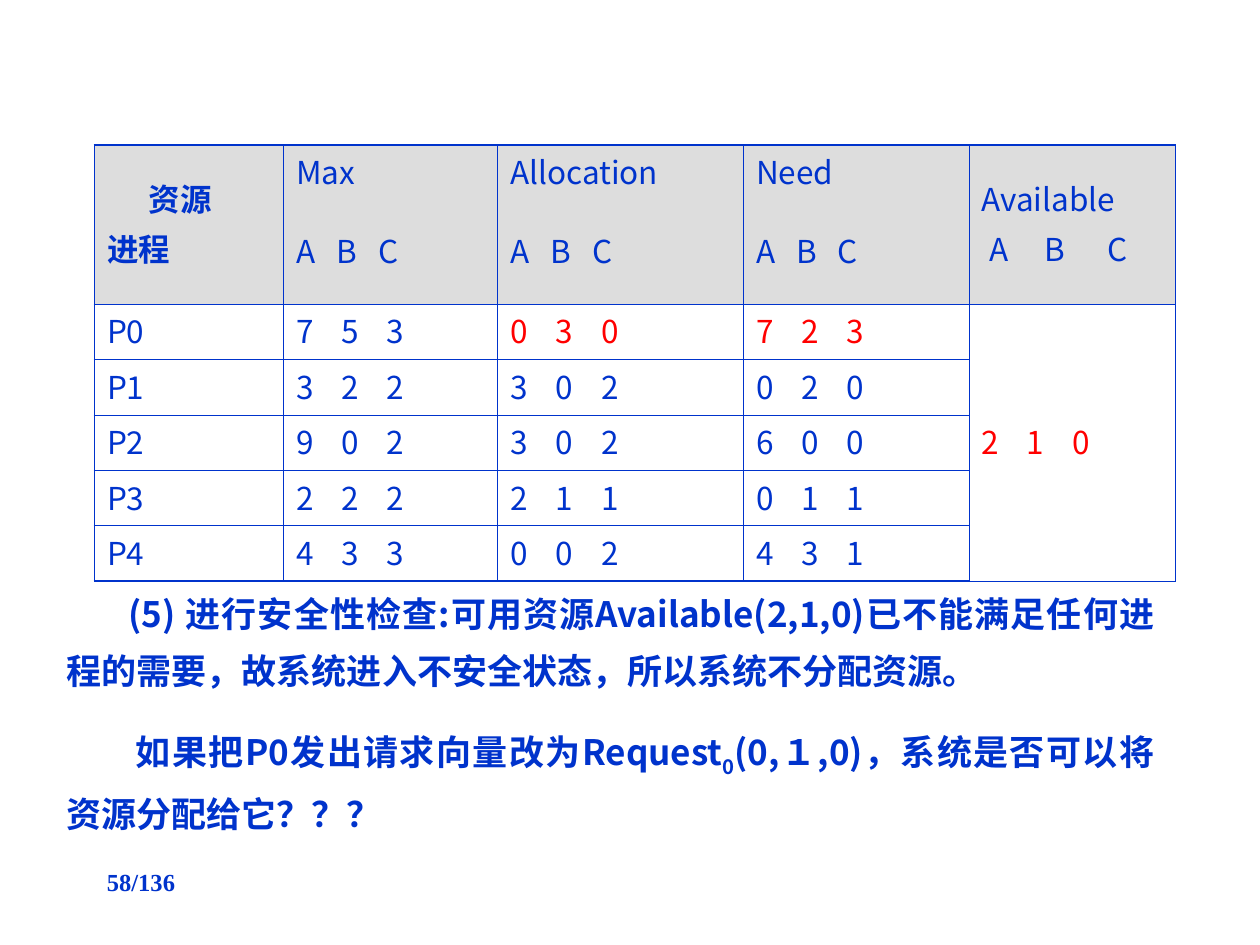
from dataclasses import dataclass

from lxml.etree import SubElement
from pptx import Presentation
from pptx.dml.color import RGBColor
from pptx.enum.text import MSO_ANCHOR, PP_ALIGN
from pptx.oxml.ns import qn
from pptx.util import Inches, Pt


@dataclass(frozen=True)
class Theme:
    blue: str = "0033CC"
    red: str = "FF0000"
    header_fill: str = "DDDDDD"
    font: str = "Noto Sans CJK SC"
    page_font: str = "Times New Roman"
    table_size: int = 18
    body_size: int = 20
    page_size: int = 14
    thin: float = 0.45
    thick: float = 1.08


THEME = Theme()
COLUMN_WIDTHS = [1.5, 1.7, 1.95, 1.79, 1.64]
ROW_HEIGHTS = [0.33, 0.73] + [0.44] * 5
LETTERS = "A\tB\tC"
LETTER_TABS = [0.32, 0.65]
NUMBER_TABS = [0.36, 0.72]
HEADINGS = ["Max", "Allocation", "Need"]
PROCESSES = [
    ["P0", "753", "030", "723"],
    ["P1", "322", "302", "020"],
    ["P2", "902", "302", "600"],
    ["P3", "222", "211", "011"],
    ["P4", "433", "002", "431"],
]
AVAILABLE = "210"
SAFETY_CHECK = ("(5) 进行安全性检查:可用资源Available(2,1,0)已不能满足任何"
                "进程的需要，故系统进入不安全状态，所以系统不分配资源。")
QUESTION = ["如果把P0发出请求向量改为Request", "0",
            "(0,１,0)，系统是否可以将资源分配给它？？？"]


def style_run(run, size, color=THEME.blue, bold=False, font=THEME.font):
    run.font.size = Pt(size)
    run.font.bold = bold
    run.font.name = font
    run.font.color.rgb = RGBColor.from_string(color)
    SubElement(run.font._element, qn("a:ea"), typeface=font)


def set_indent(paragraph, inches):
    properties = paragraph._p.get_or_add_pPr()
    properties.set("marL", "0")
    properties.set("indent", str(Inches(inches)))


def set_tabs(paragraph, positions):
    tab_list = SubElement(paragraph._p.get_or_add_pPr(), qn("a:tabLst"))
    for position in positions:
        SubElement(tab_list, qn("a:tab"), pos=str(Inches(position)), algn="l")


def add_text_box(slide, left, top, width, height):
    text_frame = slide.shapes.add_textbox(
        Inches(left), Inches(top), Inches(width), Inches(height)).text_frame
    text_frame.word_wrap = True
    return text_frame


def fill_cell(cell, lines, color=THEME.blue, bold=False, tabs=(), indents=()):
    cell.vertical_anchor = MSO_ANCHOR.MIDDLE
    cell.text_frame.text = "\n".join(lines)
    for index, paragraph in enumerate(cell.text_frame.paragraphs):
        paragraph.line_spacing = Pt(24)
        if index:
            paragraph.space_before = Pt(4.5)
        if indents:
            set_indent(paragraph, indents[index])
        if tabs:
            set_tabs(paragraph, tabs)
        for run in paragraph.runs:
            style_run(run, THEME.table_size, color, bold)


def fill_numbers(cell, digits, color):
    fill_cell(cell, ["\t".join(digits)], color, tabs=NUMBER_TABS)


def set_border(properties, side, width):
    line = SubElement(properties, qn(f"a:{side}"), w=str(Pt(width)))
    if width:
        fill = SubElement(line, qn("a:solidFill"))
        SubElement(fill, qn("a:srgbClr"), val=THEME.blue)
    else:
        SubElement(line, qn("a:noFill"))


def format_cell(cell, row, column):
    last_row, last_column = len(ROW_HEIGHTS) - 1, len(COLUMN_WIDTHS) - 1
    properties = cell._tc.get_or_add_tcPr()
    # Thick outside, thin inside, nothing between the two header rows
    set_border(properties, "lnL", THEME.thin if column else THEME.thick)
    set_border(properties, "lnR", THEME.thick if column == last_column else THEME.thin)
    set_border(properties, "lnT", {0: THEME.thick, 1: 0}.get(row, THEME.thin))
    set_border(properties, "lnB", {0: 0, last_row: THEME.thick}.get(row, THEME.thin))
    if row < 2:
        cell.fill.solid()
        cell.fill.fore_color.rgb = RGBColor.from_string(THEME.header_fill)
    else:
        cell.fill.background()


def add_resource_table(slide):
    table = slide.shapes.add_table(
        len(ROW_HEIGHTS), len(COLUMN_WIDTHS), Inches(0.75), Inches(1.15),
        Inches(sum(COLUMN_WIDTHS)), Inches(sum(ROW_HEIGHTS))).table
    for column, width in zip(table.columns, COLUMN_WIDTHS):
        column.width = Inches(width)
    for row, height in zip(table.rows, ROW_HEIGHTS):
        row.height = Inches(height)
    for row in range(len(ROW_HEIGHTS)):
        for column in range(len(COLUMN_WIDTHS)):
            format_cell(table.cell(row, column), row, column)

    # Merged cells
    for column in (0, 4):
        table.cell(0, column).merge(table.cell(1, column))
    table.cell(2, 4).merge(table.cell(6, 4))

    # Header
    fill_cell(table.cell(0, 0), ["资源", "进程"], bold=True, indents=[0.33, 0])
    for column, heading in enumerate(HEADINGS, start=1):
        fill_cell(table.cell(0, column), [heading])
        fill_cell(table.cell(1, column), [LETTERS], tabs=LETTER_TABS)
    fill_cell(table.cell(0, 4), ["Available", LETTERS], indents=[0, 0.06],
              tabs=[0.06 + position for position in LETTER_TABS])

    # Processes; the changed values of P0 are red
    for row, (name, *vectors) in enumerate(PROCESSES, start=2):
        fill_cell(table.cell(row, 0), [name])
        for column, digits in enumerate(vectors, start=1):
            changed = row == 2 and column > 1
            fill_numbers(table.cell(row, column), digits,
                         THEME.red if changed else THEME.blue)
    fill_numbers(table.cell(2, 4), AVAILABLE, THEME.red)


def add_explanation(slide):
    text_frame = add_text_box(slide, 0.43, 4.54, 8.83, 2.14)
    text_frame.text = SAFETY_CHECK
    question = text_frame.add_paragraph()
    for part in QUESTION:
        question.add_run().text = part
    question.space_before = Pt(12.5)
    for paragraph, indent in zip(text_frame.paragraphs, (0.49, 0.55)):
        paragraph.alignment = PP_ALIGN.JUSTIFY
        paragraph.line_spacing = 1.35
        set_indent(paragraph, indent)
        for run in paragraph.runs:
            style_run(run, THEME.body_size, bold=True)
    question.runs[1].font._element.set("baseline", "-25000")


def add_page_number(slide):
    text_frame = add_text_box(slide, 0.75, 6.83, 2.25, 0.5)
    text_frame.text = "58/136"
    style_run(text_frame.paragraphs[0].runs[0], THEME.page_size, bold=True,
              font=THEME.page_font)


def main():
    presentation = Presentation()
    presentation.slide_width = Inches(10)
    presentation.slide_height = Inches(7.5)
    slide = presentation.slides.add_slide(presentation.slide_layouts[6])
    add_page_number(slide)
    add_explanation(slide)
    add_resource_table(slide)
    presentation.save("out.pptx")


if __name__ == "__main__":
    main()
